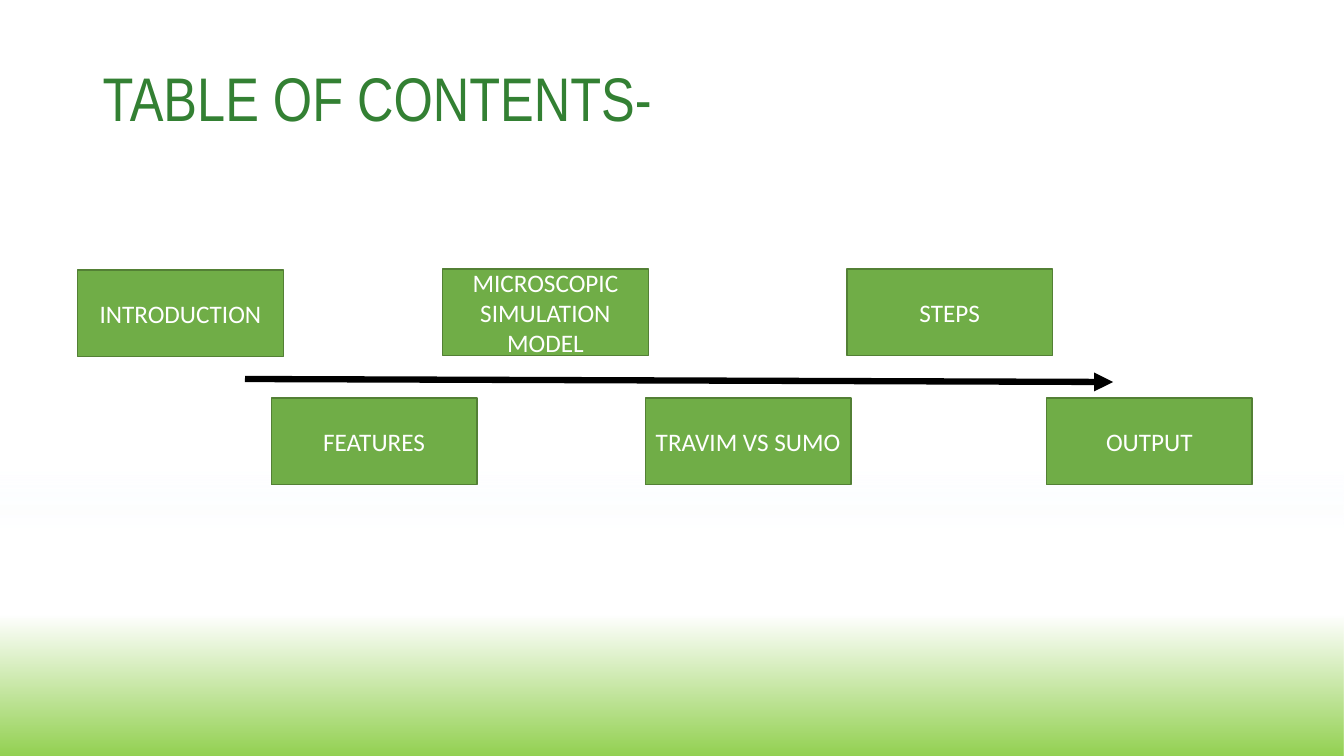
from lxml import etree
from pptx import Presentation
from pptx.dml.color import RGBColor
from pptx.enum.shapes import MSO_CONNECTOR, MSO_SHAPE
from pptx.enum.text import MSO_ANCHOR, PP_ALIGN
from pptx.oxml.ns import qn
from pptx.util import Inches, Pt

RECTANGLE = MSO_SHAPE.RECTANGLE
STRAIGHT = MSO_CONNECTOR.STRAIGHT
MIDDLE = MSO_ANCHOR.MIDDLE
CENTER = PP_ALIGN.CENTER


def color(hex_string):
    return RGBColor.from_string(hex_string)


prs = Presentation()
prs.slide_width = Inches(13.33)
prs.slide_height = Inches(7.5)
slide = prs.slides.add_slide(prs.slide_layouts[6])

# Title
title = slide.shapes.add_textbox(Inches(0.92), Inches(0.4), Inches(11.5), Inches(1.21))
title.text_frame.word_wrap = True
title.text_frame.vertical_anchor = MIDDLE
heading = title.text_frame.paragraphs[0]
heading.text = "TABLE OF CONTENTS-"
heading.line_spacing = 0.9
heading.font.name = "Arial Narrow"
heading.font.size = Pt(44)
heading.font.color.rgb = color("338033")

# Green fade along the bottom: position %, colour, opacity %
fade_stops = [(0, "F7FAFD", 0), (22, "FFFFFF", 83), (51, "FFFFFF", 100), (100, "92D050", 100)]
fade = slide.shapes.add_shape(RECTANGLE, 0, Inches(4.63), prs.slide_width, Inches(2.87))
fade.shadow.inherit = False
fade.line.fill.background()
fade.fill.gradient()
fade.fill.gradient_angle = 270
stop_list = fade.fill._fill._gradFill.find(qn("a:gsLst"))
for old_stop in list(stop_list):
    stop_list.remove(old_stop)
for position, tint, opacity in fade_stops:
    stop = etree.SubElement(stop_list, qn("a:gs"), pos=str(position * 1000))
    stop_color = etree.SubElement(stop, qn("a:srgbClr"), val=tint)
    etree.SubElement(stop_color, qn("a:alpha"), val=str(opacity * 1000))

# Topics, alternating above and below the arrow
topics = [
    ("INTRODUCTION", 0.77, 2.68),
    ("FEATURES", 2.69, 3.95),
    ("MICROSCOPIC SIMULATION MODEL", 4.39, 2.67),
    ("TRAVIM VS SUMO", 6.4, 3.95),
    ("STEPS", 8.4, 2.67),
    ("OUTPUT", 10.38, 3.95),
]
for topic, left, top in topics:
    box = slide.shapes.add_shape(RECTANGLE, Inches(left), Inches(top), Inches(2.04), Inches(0.86))
    box.shadow.inherit = False
    box.fill.solid()
    box.fill.fore_color.rgb = color("70AD47")
    box.line.color.rgb = color("538035")
    box.line.width = Pt(1)
    box.text_frame.word_wrap = True
    box.text_frame.vertical_anchor = MIDDLE
    label = box.text_frame.paragraphs[0]
    label.text = topic
    label.alignment = CENTER
    label.font.name = "Calibri"
    label.font.size = Pt(18)
    label.font.color.rgb = color("FFFFFF")

# Timeline arrow
timeline = slide.shapes.add_connector(
    STRAIGHT, Inches(2.43), Inches(3.76), Inches(11.04), Inches(3.79)
)
timeline.line.color.rgb = color("000000")
timeline.line.width = Pt(4.5)
etree.SubElement(timeline.line._get_or_add_ln(), qn("a:tailEnd"), type="triangle")
etree.SubElement(timeline._element.spPr, qn("a:effectLst"))

prs.save("out.pptx")
